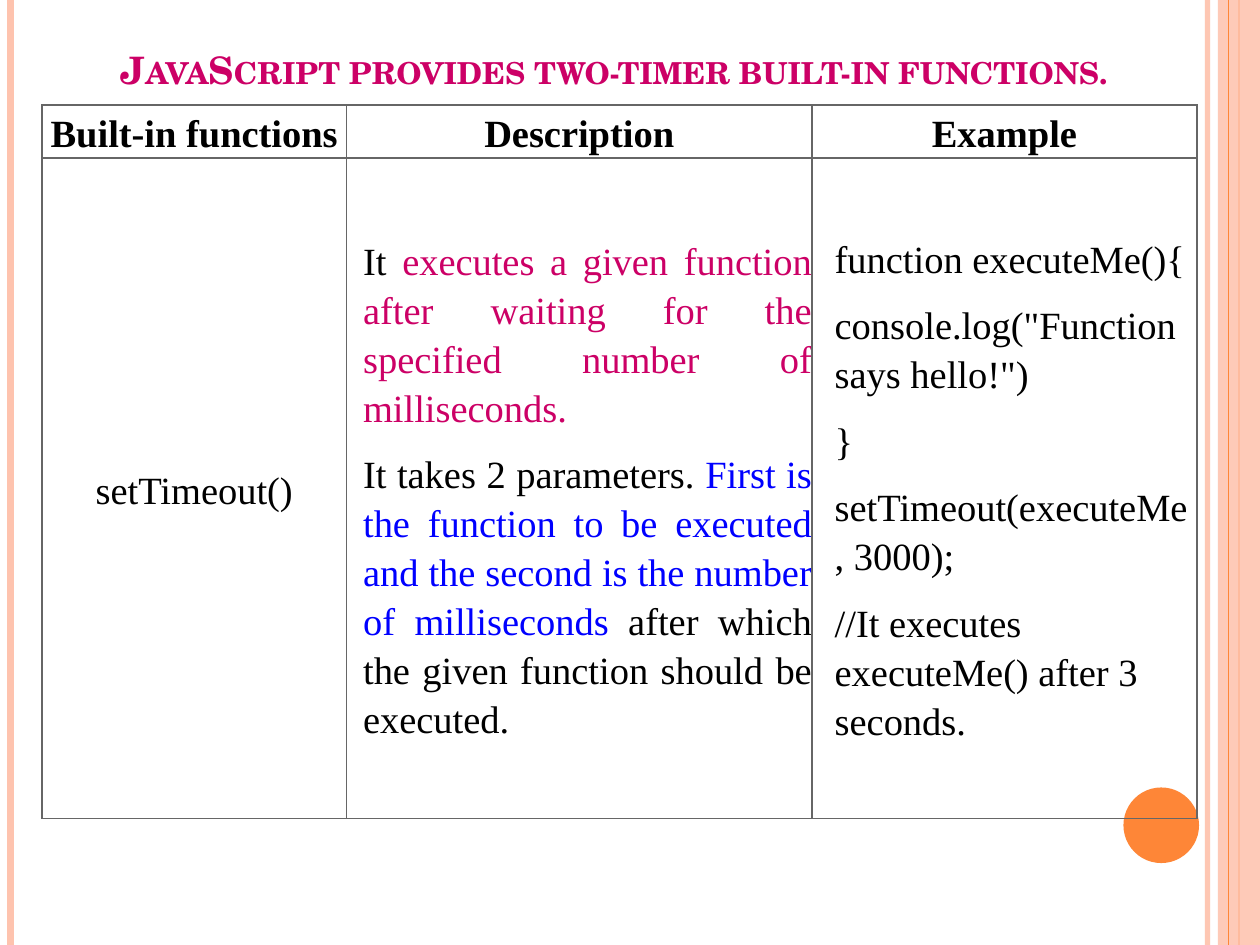
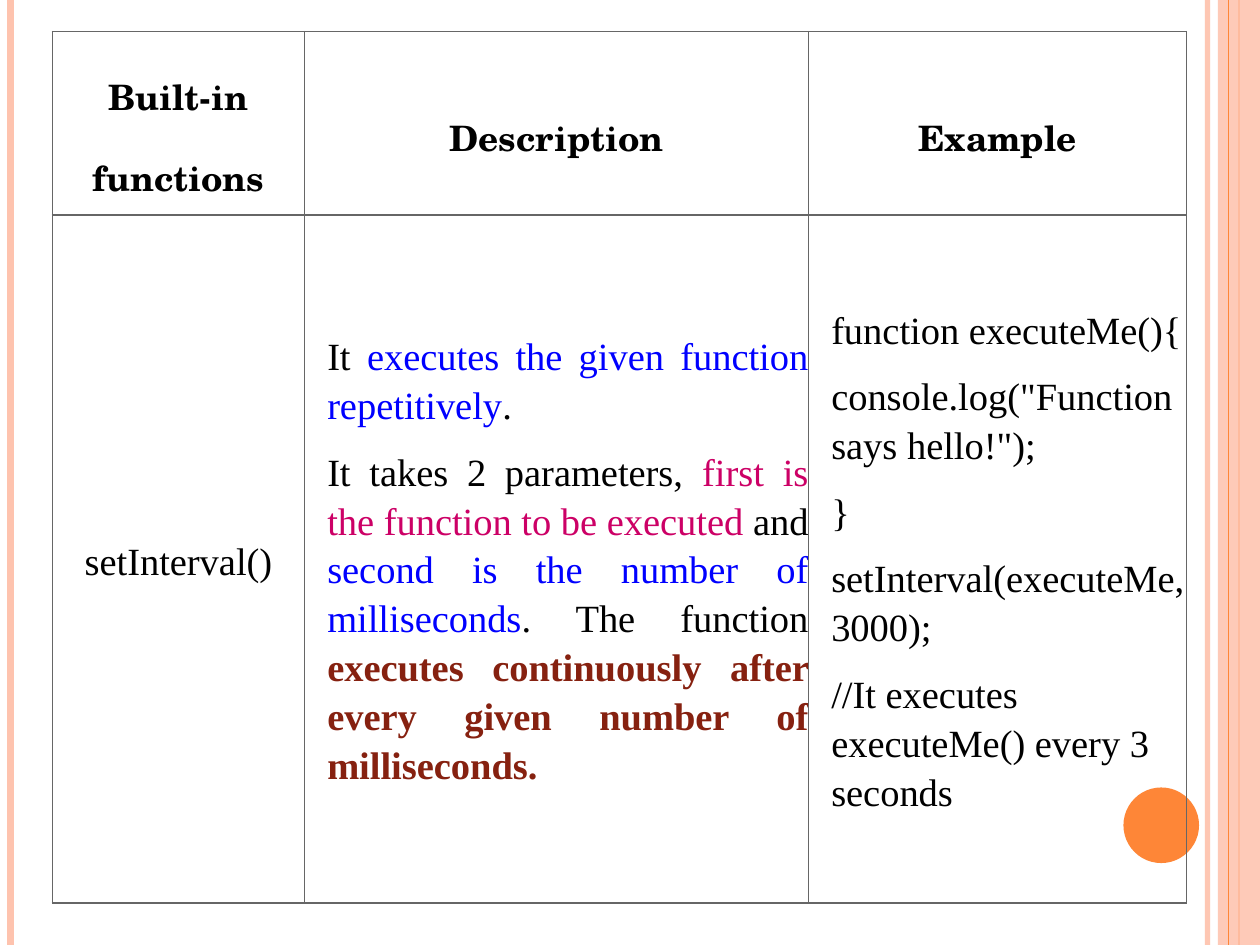
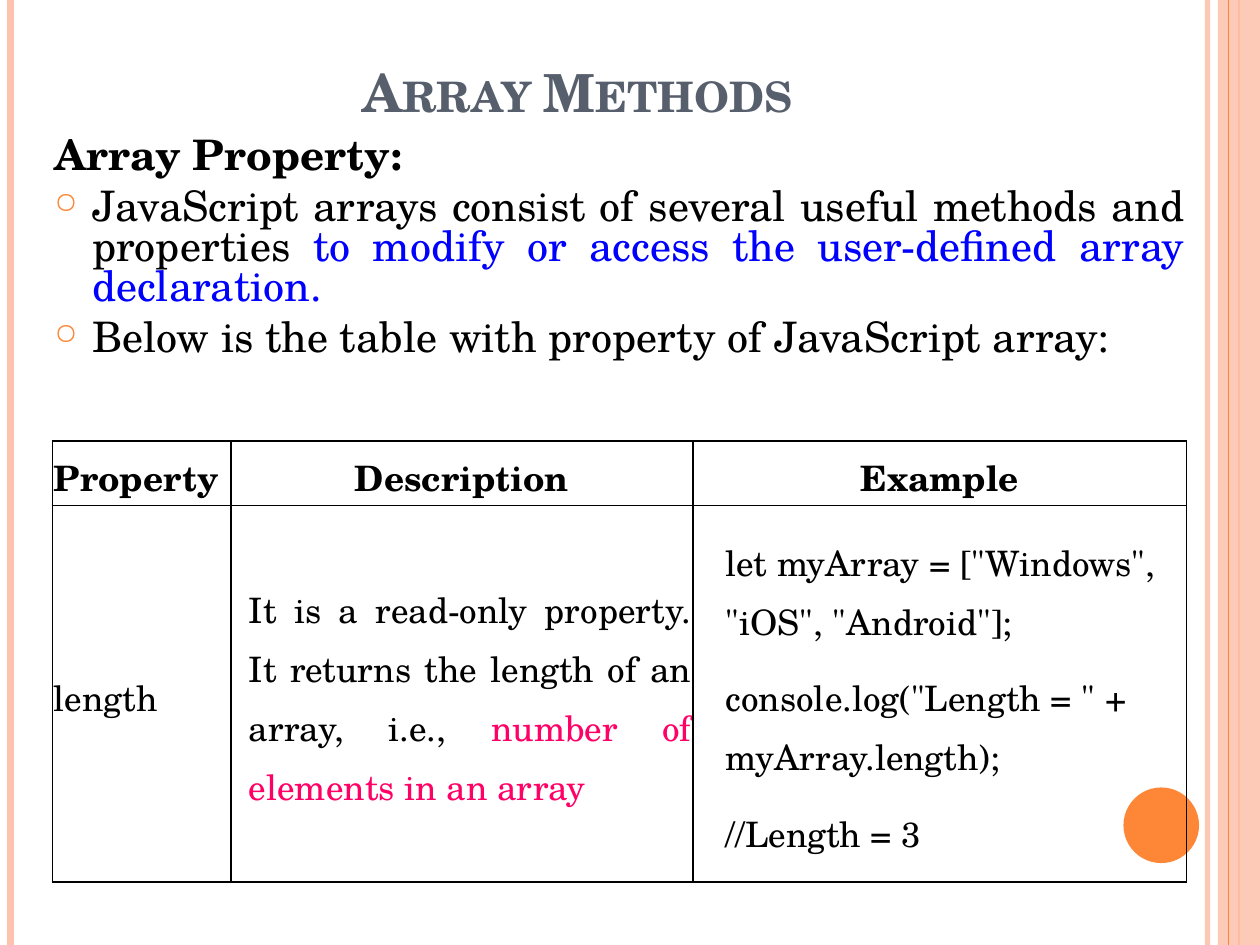
import pptx
import pptx.util
import pptx.dml.color
import pptx.enum.shapes
import pptx.enum.text
import pptx.oxml.ns
from lxml import etree

Pt = pptx.util.Pt
RGBColor = pptx.dml.color.RGBColor
SHAPE = pptx.enum.shapes.MSO_SHAPE
ALIGN = pptx.enum.text.PP_ALIGN
ANCHOR = pptx.enum.text.MSO_ANCHOR
qn = pptx.oxml.ns.qn

BLACK = RGBColor(0x00, 0x00, 0x00)
PEACH = RGBColor(0xFE, 0xC3, 0xAE)
ORANGE = RGBColor(0xFE, 0x86, 0x37)
MAGENTA = RGBColor(0xCC, 0x00, 0x66)
PINK = RGBColor(0xFF, 0x00, 0x66)
BLUE = RGBColor(0x00, 0x00, 0xFF)
BROWN = RGBColor(0x86, 0x21, 0x10)
SLATE = RGBColor(0x57, 0x5F, 0x6D)
GREY = RGBColor(0x66, 0x66, 0x66)

SCHOLA = "TeX Gyre Schola"
TIMES = "Times New Roman"
WIDTH, HEIGHT = 720, 540


def sub(parent, tag, **attrs):
    el = etree.SubElement(parent, qn(tag))
    for name, value in attrs.items():
        el.set(name, str(value))
    return el


def set_alpha(sp, percent):
    for color in sp._element.spPr.iter(qn("a:srgbClr")):
        sub(color, "a:alpha", val=percent * 1000)


def add_rule(slide, x, color, width):
    line = slide.shapes.add_connector(
        pptx.enum.shapes.MSO_CONNECTOR.STRAIGHT, Pt(x), Pt(0), Pt(x), Pt(HEIGHT))
    line.line.color.rgb = color
    line.line.width = Pt(width)
    sub(line._element.spPr, "a:effectLst")
    return line


def add_solid(slide, kind, box, color):
    sp = slide.shapes.add_shape(kind, *map(Pt, box))
    sp.shadow.inherit = False
    sp.fill.solid()
    sp.fill.fore_color.rgb = color
    sp.line.fill.background()
    return sp


def add_frame(prs):
    slide = prs.slides.add_slide(prs.slide_layouts[6])
    set_alpha(add_rule(slide, 690, PEACH, 3), 93)
    add_rule(slide, 6, PEACH, 4.5)
    add_rule(slide, 708, ORANGE, 1.5)
    set_alpha(add_solid(slide, SHAPE.RECTANGLE, (696, 0, 24, HEIGHT), PEACH), 87)
    add_rule(slide, 702, ORANGE, 0.75)
    add_solid(slide, SHAPE.OVAL, (642, 450, 43.2, 43.2), ORANGE)
    return slide


def add_bullet(p):
    pPr = p._p.get_or_add_pPr()
    sub(sub(pPr, "a:buClr"), "a:srgbClr", val=ORANGE)
    sub(pPr, "a:buSzPct", val=70000)
    sub(pPr, "a:buChar", char="○")


def write_paragraph(p, runs, *, size, font, color=BLACK, bold=False, caps=False,
                    align=ALIGN.LEFT, spacing=1.0, before=0, after=0,
                    left=0, hanging=0, bullet=False):
    p.alignment = align
    p.line_spacing = spacing
    p.space_before, p.space_after = Pt(before), Pt(after)
    pPr = p._p.get_or_add_pPr()
    pPr.set("marL", str(Pt(left)))
    pPr.set("indent", str(-Pt(hanging)))
    if bullet:
        add_bullet(p)
    for run in [runs] if isinstance(runs, str) else runs:
        text, *style = (run,) if isinstance(run, str) else run
        r = p.add_run()
        r.text = text
        r.font.name = font
        r.font.size = Pt(size)
        r.font.color.rgb = style[0] if style else color
        r.font.bold = style[1] if len(style) > 1 else bold
        if caps:
            r._r.get_or_add_rPr().set("cap", "small")


def write_paragraphs(tf, paragraphs, **fmt):
    for i, runs in enumerate(paragraphs):
        p = tf.add_paragraph() if i else tf.paragraphs[0]
        write_paragraph(p, runs, **fmt)


def add_text_box(slide, box, anchor, top, bottom):
    tf = slide.shapes.add_textbox(*map(Pt, box)).text_frame
    tf.word_wrap = True
    tf.vertical_anchor = anchor
    tf.margin_top, tf.margin_bottom = Pt(top), Pt(bottom)
    return tf


def add_title(slide, text, box, size, color):
    tf = add_text_box(slide, box, ANCHOR.BOTTOM, 0, 1.5)
    write_paragraph(tf.paragraphs[0], text, size=size, font=SCHOLA, color=color,
                    bold=True, caps=True, align=ALIGN.CENTER)


def add_body(slide, heading, bullets, box):
    tf = add_text_box(slide, box, ANCHOR.TOP, 7, 3.6)
    fmt = dict(size=24, font=SCHOLA, align=ALIGN.JUSTIFY, spacing=0.8,
               left=21.6, hanging=21.6)
    write_paragraph(tf.paragraphs[0], heading, bold=True, **fmt)
    for runs in bullets:
        write_paragraph(tf.add_paragraph(), runs, before=6, bullet=True, **fmt)


def style_cell(cell, border, inset):
    cell.vertical_anchor = ANCHOR.MIDDLE
    cell.margin_left = cell.margin_right = Pt(inset)
    cell.margin_top = cell.margin_bottom = Pt(inset)
    tcPr = cell._tc.get_or_add_tcPr()
    for side in "LRTB":
        ln = sub(tcPr, f"a:ln{side}", w=Pt(1))
        sub(sub(ln, "a:solidFill"), "a:srgbClr", val=border)
    cell.fill.background()


def add_grid(slide, origin, widths, heights, rows, border=GREY, inset=0):
    frame = slide.shapes.add_table(
        len(heights), len(widths), *map(Pt, (*origin, sum(widths), sum(heights))))
    table = frame.table
    table.first_row = table.horz_banding = False
    for column, width in zip(table.columns, widths):
        column.width = Pt(width)
    for row, height, contents in zip(table.rows, heights, rows):
        row.height = Pt(height)
        for cell, (paragraphs, fmt) in zip(row.cells, contents):
            style_cell(cell, border, inset)
            write_paragraphs(cell.text_frame, paragraphs, **fmt)


def cell_format(font, size, align=ALIGN.LEFT, left=0, bold=False, spacing=1.15):
    return dict(font=font, size=size, align=align, left=left, bold=bold,
                spacing=spacing, after=10)


def header_row(labels, fmt):
    return [([label], fmt) for label in labels]


def build_set_timeout(prs):
    slide = add_frame(prs)
    add_title(slide, "JavaScript provides two-timer built-in functions.",
              (18, 21.6, 666, 32.4), 21.6, MAGENTA)
    header = header_row(("Built-in functions", "Description", "Example"),
                        cell_format(TIMES, 22, ALIGN.CENTER, bold=True))
    description = [
        ["It ", ("executes a given function after waiting for the specified "
                 "number of milliseconds.", MAGENTA)],
        ["It takes 2 parameters. ",
         ("First is the function to be executed and the second is the number "
          "of milliseconds", BLUE),
         " after which the given function should be executed."],
    ]
    example = ["function executeMe(){", 'console.log("Function says hello!")', "}",
               "setTimeout(executeMe, 3000);",
               "//It executes executeMe() after 3 seconds."]
    add_grid(slide, (24, 60), (174, 266, 220), (28.5, 377.25), [
        header,
        [(["setTimeout()"], cell_format(TIMES, 22, ALIGN.CENTER)),
         (description, cell_format(TIMES, 22, ALIGN.JUSTIFY, 9.5)),
         (example, cell_format(TIMES, 22, left=13))],
    ])


def build_set_interval(prs):
    slide = add_frame(prs)
    header = header_row(("Built-in functions", "Description", "Example"),
                        cell_format(SCHOLA, 20, ALIGN.CENTER, bold=True, spacing=1.5))
    description = [
        ["It ", ("executes the given function repetitively", BLUE), "."],
        ["It takes 2 parameters, ",
         ("first is the function to be executed", MAGENTA), " and ",
         ("second is the number of milliseconds", BLUE), ". The function ",
         ("executes continuously after every given number of milliseconds.",
          BROWN, True)],
    ]
    example = ["function executeMe(){", 'console.log("Function says hello!");', "}",
               "setInterval(executeMe,3000);",
               "//It executes executeMe() every 3 seconds"]
    add_grid(slide, (30, 18), (144, 288, 216), (105, 393), [
        header,
        [(["setInterval()"], cell_format(TIMES, 22, ALIGN.CENTER)),
         (description, cell_format(TIMES, 22, ALIGN.JUSTIFY, 13)),
         (example, cell_format(TIMES, 22, left=13))],
    ])


def build_array_methods(prs):
    slide = add_frame(prs)
    add_title(slide, "Array Methods", (36, 21.6, 588, 50.4), 30, SLATE)
    add_body(slide, "Array Property:", [
        ["JavaScript arrays consist of several useful methods and properties ",
         ("to modify or access the user-defined array declaration.", BLUE)],
        "Below is the table with property of JavaScript array:",
    ], (24, 72, 660, 438))
    heading = cell_format(SCHOLA, 20, ALIGN.CENTER, bold=True)
    header = [(["Property"], cell_format(SCHOLA, 20, bold=True)),
              *header_row(("Description", "Example"), heading)]
    description = [["It is a read-only property. It returns the length of an array, i.e., ",
                    ("number of elements in an array", PINK)]]
    example = ['let myArray = ["Windows", "iOS", "Android"];',
               'console.log("Length = " + myArray.length);', "//Length = 3"]
    add_grid(slide, (30, 252), (102, 264, 282), (37, 215), [
        header,
        [(["length"], cell_format(SCHOLA, 20)),
         (description, cell_format(SCHOLA, 20, ALIGN.JUSTIFY, 9.5)),
         (example, cell_format(SCHOLA, 20, left=18))],
    ], border=BLACK, inset=0.75)


def main():
    prs = pptx.Presentation()
    prs.slide_width, prs.slide_height = Pt(WIDTH), Pt(HEIGHT)
    build_set_timeout(prs)
    build_set_interval(prs)
    build_array_methods(prs)
    prs.save("out.pptx")


if __name__ == "__main__":
    main()
